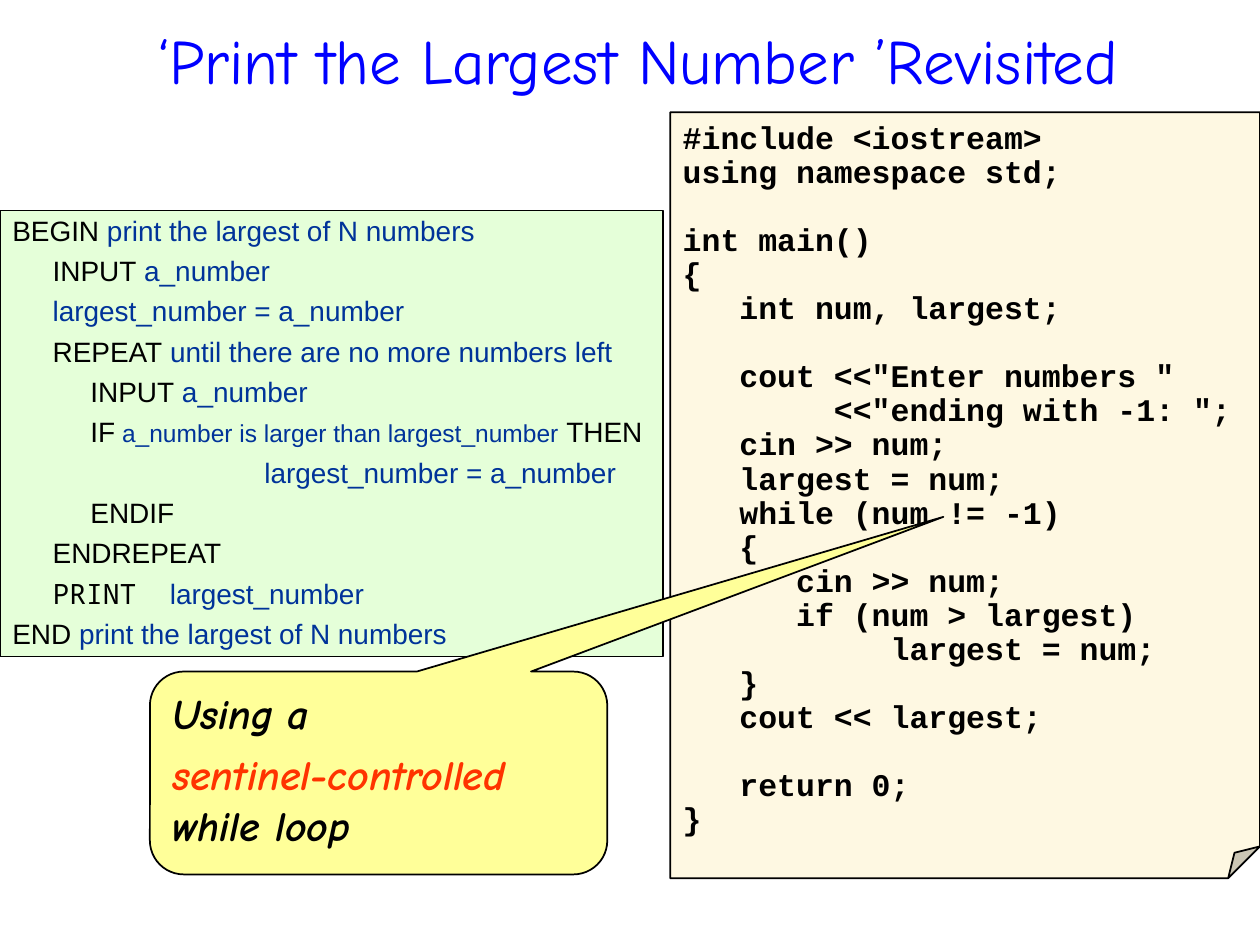
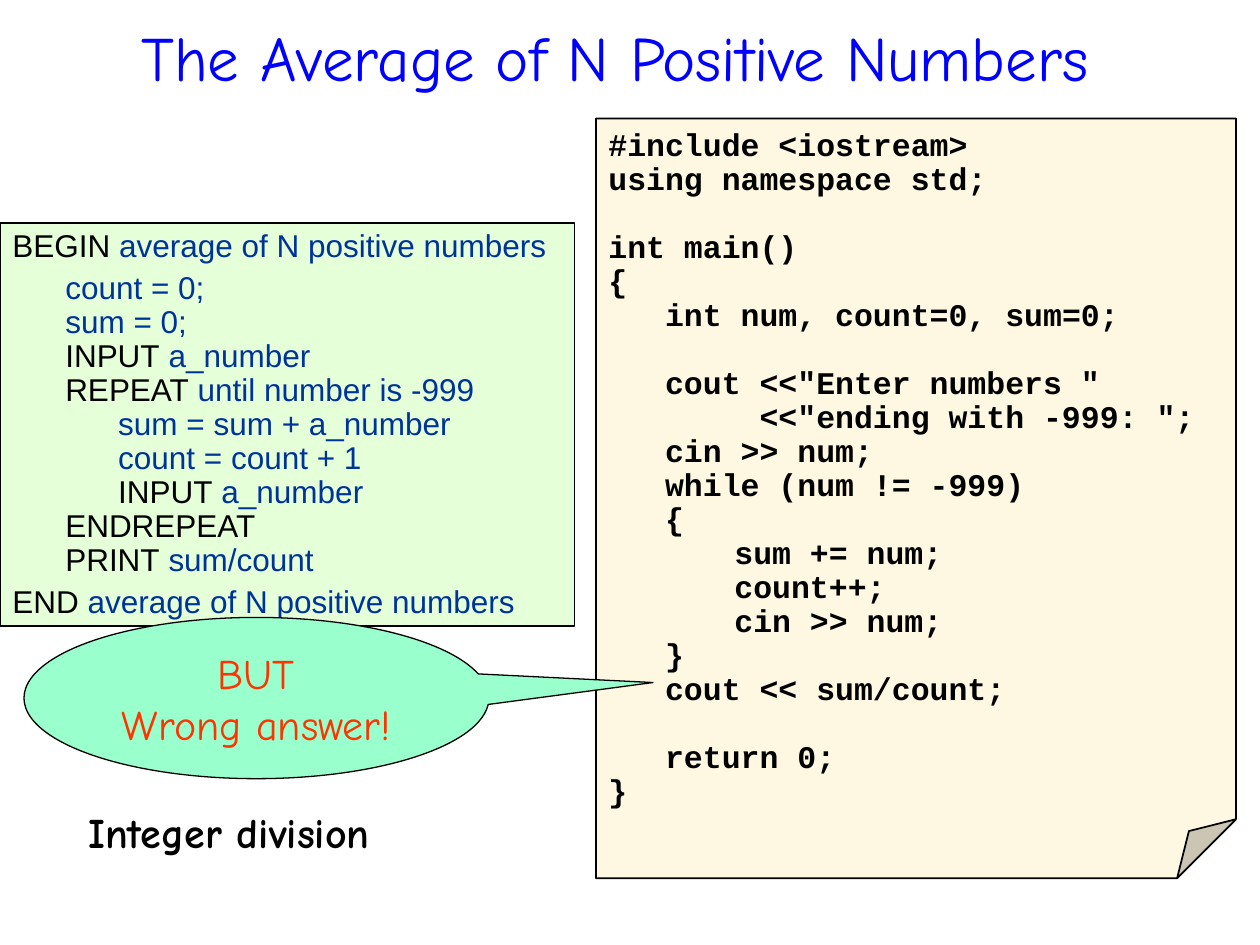
import itertools

import lxml.etree
import pptx
import pptx.dml.color
import pptx.enum.shapes
import pptx.enum.text
import pptx.oxml.ns
import pptx.util

Inches = pptx.util.Inches
Pt = pptx.util.Pt
Kind = pptx.enum.shapes.MSO_SHAPE
Align = pptx.enum.text.PP_ALIGN
Anchor = pptx.enum.text.MSO_ANCHOR

INK, BLUE, NAVY, RED = "000000", "0000FF", "003399", "FF3300"
MINT, CREAM, LEMON, AQUA = "E5FFD9", "FEF8E2", "FFFF99", "99FFCC"
HAND, SANS, CODE, MONO = "Comic Neue", "Arial", "Courier New", "Noto Sans Mono"
CELL = 0.15

LARGEST = """#include <iostream>
using namespace std;

int main()
{
   int num, largest;

   cout <<"Enter numbers "
        <<"ending with -1: ";
   cin >> num;
   largest = num;
   while (num != -1)
   {
      cin >> num;
      if (num > largest)
           largest = num;
   }
   cout << largest;

   return 0;
}"""

AVERAGE = """#include <iostream>
using namespace std;

int main()
{
   int num, count=0, sum=0;

   cout <<"Enter numbers "
        <<"ending with -999: ";
   cin >> num;
   while (num != -999)
   {
\tsum += num;
\tcount++;
\tcin >> num;
   }
   cout << sum/count;

   return 0;
}"""

FIND = [
    (0, "BEGIN print the largest of N numbers"),
    (0.32, "INPUT a_number"),
    (0.32, "largest_number = a_number"),
    (0.32, "REPEAT until there are no more numbers left"),
    (0.62, "INPUT a_number"),
    (0.62, "IF a_number is larger than largest_number THEN"),
    (2, "largest_number = a_number"),
    (0.62, "ENDIF"),
    (0.32, "ENDREPEAT"),
    (0.32, "PRINT largest_number"),
    (0, "END print the largest of N numbers"),
]

MEAN = [
    (0, "BEGIN average of N positive numbers"),
    (0.42, "count = 0;"),
    (0.42, "sum = 0;"),
    (0.42, "INPUT a_number"),
    (0.42, "REPEAT until number is -999"),
    (0.84, "sum = sum + a_number"),
    (0.84, "count = count + 1"),
    (0.84, "INPUT a_number"),
    (0.42, "ENDREPEAT"),
    (0.42, "PRINT sum/count"),
    (0, "END average of N positive numbers"),
]


def tint(text):
    return pptx.dml.color.RGBColor.from_string(text)


def style(run, face, size, color, bold=False, slant=False):
    font = run.font
    font.name, font.size = face, Pt(size)
    font.bold, font.italic = bold, slant
    font.color.rgb = tint(color)


def write(par, text, *look, **more):
    run = par.add_run()
    run.text = text
    style(run, *look, **more)


def indent(par, left, first=0):
    props = par._p.get_or_add_pPr()
    props.set("marL", str(Inches(left)))
    props.set("indent", str(Inches(first)))


def rows(frame, items):
    for spot, item in enumerate(items):
        par = frame.paragraphs[0] if spot == 0 else frame.add_paragraph()
        par.alignment = Align.LEFT
        yield par, item


def panel(slide, kind, box, fill, *bends, edge=1, anchor=Anchor.MIDDLE):
    shape = slide.shapes.add_shape(kind, *map(Inches, box))
    shape.shadow.inherit = False
    shape.fill.solid()
    shape.fill.fore_color.rgb = tint(fill)
    shape.line.color.rgb = tint(INK)
    shape.line.width = Pt(edge)
    for spot, bend in enumerate(bends):
        shape.adjustments[spot] = bend
    frame = shape.text_frame
    frame.word_wrap = True
    frame.vertical_anchor = anchor
    return shape


def crease(shape, fold):
    name = pptx.oxml.ns.qn
    form = shape._element.spPr.find(name("a:prstGeom"))
    form.set("prst", "foldedCorner")
    guide = lxml.etree.SubElement(form.find(name("a:avLst")), name("a:gd"))
    guide.set("name", "adj")
    guide.set("fmla", f"val {round(fold * 100000)}")


def head(deck, text, box):
    slide = deck.slides.add_slide(deck.slide_layouts[5])
    title = slide.shapes.title
    title.left, title.top, title.width, title.height = map(Inches, box)
    frame = title.text_frame
    frame.text = text
    frame.auto_size = pptx.enum.text.MSO_AUTO_SIZE.NONE
    frame.vertical_anchor = Anchor.MIDDLE
    frame.paragraphs[0].alignment = Align.CENTER
    style(frame.paragraphs[0].runs[0], HAND, 36, BLUE)
    return slide


def listing(slide, box, fold, code):
    shape = panel(slide, Kind.RECTANGLE, box, CREAM)
    crease(shape, fold)
    lines = code.split("\n")
    pairs = [(prev, line) for prev, line in zip(["-"] + lines, lines) if line]
    pitch = Pt(19.44)
    for par, (prev, line) in rows(shape.text_frame, pairs):
        text = line.strip()
        par.text = text
        par.line_spacing = pitch
        par.space_before = Pt(0) if prev else pitch
        indent(par, 1 if line[0] == "\t" else CELL * (len(line) - len(text)))
        style(par.runs[0], CODE, 18, INK, bold=True)


def keyword(word):
    return len(word) > 1 and word.isupper()


def steps(slide, box, plan, size, pitch, gaps):
    frame = panel(slide, Kind.RECTANGLE, box, MINT).text_frame
    for par, (spot, (left, line)) in rows(frame, enumerate(plan)):
        par.line_spacing = Pt(pitch)
        par.space_before = Pt(gaps.get(spot, 0))
        indent(par, left)
        lead = ""
        for key, words in itertools.groupby(line.split(), keyword):
            small = line.startswith("IF ") and not key
            write(par, lead + " ".join(words), SANS, 14 if small else size,
                  INK if key else NAVY)
            lead = " "
    return frame


def widen(par, stop, left):
    indent(par, stop, left - stop)
    word, rest = par.runs
    word.font.name = MONO
    rest.text = "\t" + rest.text.strip()


def hint(slide, box):
    shape = panel(slide, Kind.ROUNDED_RECTANGULAR_CALLOUT, box, LEMON,
                  1.235, -1.263, 0.167, anchor=Anchor.TOP)
    parts = [[("Using a", INK)],
             [("sentinel-controlled ", RED), ("while loop", INK)]]
    for par, runs in rows(shape.text_frame, parts):
        par.space_before = Pt(6)
        for text, color in runs:
            write(par, text, HAND, 24, color, bold=True, slant=True)


def alert(slide, box):
    shape = panel(slide, Kind.OVAL_CALLOUT, box, AQUA, 0.853, -0.096, edge=0.75)
    for par, text in rows(shape.text_frame, ["BUT", "Wrong answer!"]):
        par.alignment = Align.CENTER
        write(par, text, HAND, 24, RED)


def note(slide, box, text):
    frame = slide.shapes.add_textbox(*map(Inches, box)).text_frame
    frame.word_wrap = False
    frame.margin_left = Inches(0.2)
    par = frame.paragraphs[0]
    par.alignment = Align.LEFT
    write(par, text, HAND, 24, INK, bold=True)


def largest(deck):
    slide = head(deck, "‘Print the Largest Number ’Revisited",
                 (0.28, 0.13, 9.56, 0.68))
    frame = steps(slide, (0, 1.67, 5.26, 3.54), FIND, 16, 23.04, {0: 4})
    frame.paragraphs[0].line_spacing = Pt(17.28)
    widen(frame.paragraphs[-2], 1.25, 0.32)
    listing(slide, (5.32, 0.89, 4.68, 6.08), 0.054, LARGEST)
    hint(slide, (1.19, 5.33, 3.63, 1.61))


def average(deck):
    slide = head(deck, "The Average of N Positive Numbers",
                 (0.1, 0.12, 9.56, 0.66))
    gaps = dict.fromkeys((0, 1, len(MEAN) - 1), 4.5)
    steps(slide, (0, 1.77, 4.56, 3.2), MEAN, 18, 19.44, gaps)
    listing(slide, (4.73, 0.94, 5.08, 6.03), 0.092, AVERAGE)
    alert(slide, (0.19, 4.9, 3.69, 1.28))
    note(slide, (0.5, 6.35, 3.29, 0.5), "Integer division")


def main():
    deck = pptx.Presentation()
    deck.slide_width, deck.slide_height = Inches(10), Inches(7.5)
    largest(deck)
    average(deck)
    deck.save("out.pptx")


if __name__ == "__main__":
    main()
